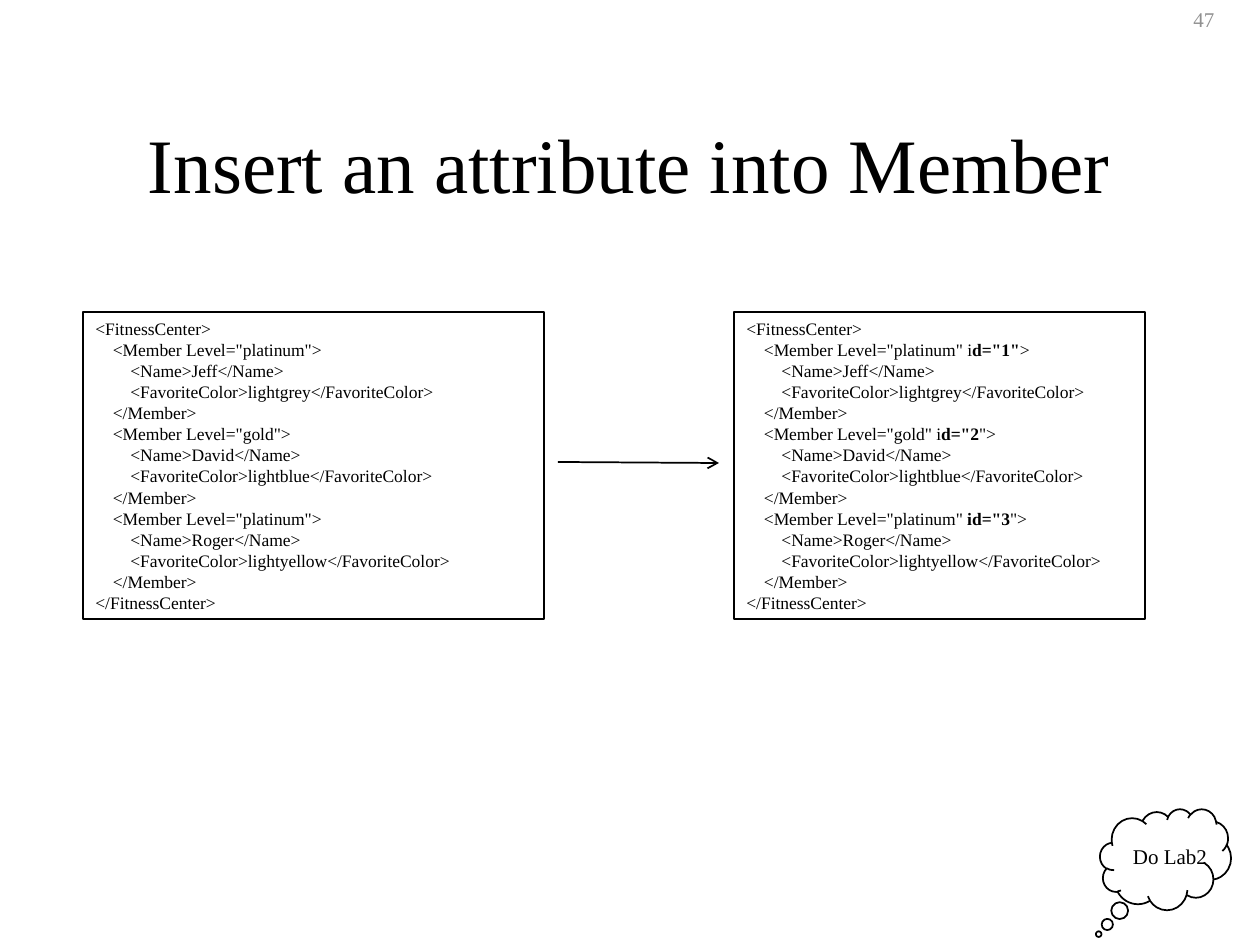
from lxml.etree import SubElement
from pptx import Presentation
from pptx.dml.color import RGBColor
from pptx.enum.shapes import MSO_CONNECTOR, MSO_SHAPE
from pptx.enum.text import MSO_ANCHOR, MSO_AUTO_SIZE, PP_ALIGN
from pptx.oxml.ns import qn
from pptx.util import Emu, Pt

SCALE = 914400 / 126
COLORS = {"ink": "000000", "paper": "FFFFFF", "muted": "919191"}
FONT = "Times New Roman"


def px(n):
    return Emu(round(n * SCALE))


def color(name):
    return RGBColor.from_string(COLORS[name])


class Page:
    def __init__(self, deck):
        self.slide = deck.slides.add_slide(deck.slide_layouts[5])
        self.shapes = self.slide.shapes

    def style(self, para, size, ink="ink", align=PP_ALIGN.LEFT):
        para.alignment = align
        for run in para.runs:
            run.font.name = FONT
            run.font.size = Pt(size)
            run.font.color.rgb = color(ink)

    def title(self, text, x, y, w, h):
        head = self.shapes.title
        head.left, head.top, head.width, head.height = map(px, (x, y, w, h))
        head.text_frame.text = text
        head.text_frame.vertical_anchor = MSO_ANCHOR.MIDDLE
        self.style(head.text_frame.paragraphs[0], 44, align=PP_ALIGN.CENTER)

    def label(self, text, x, y, w, h, ink="ink", align=PP_ALIGN.LEFT):
        frame = self.shapes.add_textbox(*map(px, (x, y, w, h))).text_frame
        frame.word_wrap = False
        frame.auto_size = MSO_AUTO_SIZE.SHAPE_TO_FIT_TEXT
        frame.text = text
        self.style(frame.paragraphs[0], 12, ink, align)

    def shape(self, kind, x, y, w, h):
        item = self.shapes.add_shape(kind, *map(px, (x, y, w, h)))
        item.shadow.inherit = False
        item.fill.solid()
        item.fill.fore_color.rgb = color("paper")
        item.line.color.rgb = color("ink")
        item.line.width = Pt(1)
        return item

    def code(self, lines, x, y, w, h):
        """Each line is (level, text); text between asterisks is bold."""
        frame = self.shape(MSO_SHAPE.RECTANGLE, x, y, w, h).text_frame
        frame.word_wrap = True
        frame.auto_size = MSO_AUTO_SIZE.SHAPE_TO_FIT_TEXT
        frame.vertical_anchor = MSO_ANCHOR.TOP
        for i, (level, text) in enumerate(lines):
            para = frame.add_paragraph() if i else frame.paragraphs[0]
            for j, part in enumerate(text.split("*")):
                run = para.add_run()
                run.text = part
                run.font.bold = j % 2 == 1
            self.style(para, 10)
            props = para._p.get_or_add_pPr()
            props.set("marL", str(Pt(10) * level))
            props.set("indent", "0")

    def arrow(self, x1, y1, x2, y2):
        line = self.shapes.add_connector(
            MSO_CONNECTOR.STRAIGHT, *map(px, (x1, y1, x2, y2)))
        line.line.color.rgb = color("ink")
        line.line.width = Pt(1)
        SubElement(line.line._get_or_add_ln(), qn("a:tailEnd"), type="arrow")
        SubElement(line._element.spPr, qn("a:effectLst"))


MEMBERS = [
    ("platinum", "Jeff", "lightgrey"),
    ("gold", "David", "lightblue"),
    ("platinum", "Roger", "lightyellow"),
]
IDS = [' i*d="1"*>', ' i*d="2*">', ' *id="3*">']


def listing(ends):
    lines = [(0, "<FitnessCenter>")]
    for (level, name, shade), end in zip(MEMBERS, ends):
        lines += [
            (1, f'<Member Level="{level}"{end}'),
            (2, f"<Name>{name}</Name>"),
            (2, f"<FavoriteColor>{shade}</FavoriteColor>"),
            (1, "</Member>"),
        ]
    return lines + [(0, "</FitnessCenter>")]


def main():
    deck = Presentation()
    deck.slide_width, deck.slide_height = px(1260), px(945)
    page = Page(deck)

    # Page number and title
    page.label("47", 1181, 0, 113, 38, "muted")
    page.title("Insert an attribute into Member", 94, 84, 1071, 158)

    # XML before and after
    page.code(listing([">"] * 3), 83, 312, 461, 307)
    page.code(listing(IDS), 734, 312, 411, 307)
    page.arrow(558, 462, 719, 463)

    # Lab reminder
    cloud = page.shape(MSO_SHAPE.CLOUD_CALLOUT, 1100, 809, 131, 101)
    cloud.adjustments[0] = -0.51
    cloud.adjustments[1] = 0.74
    page.label("Do Lab2", 1120, 837, 100, 38, align=PP_ALIGN.CENTER)

    deck.save("out.pptx")


if __name__ == "__main__":
    main()
